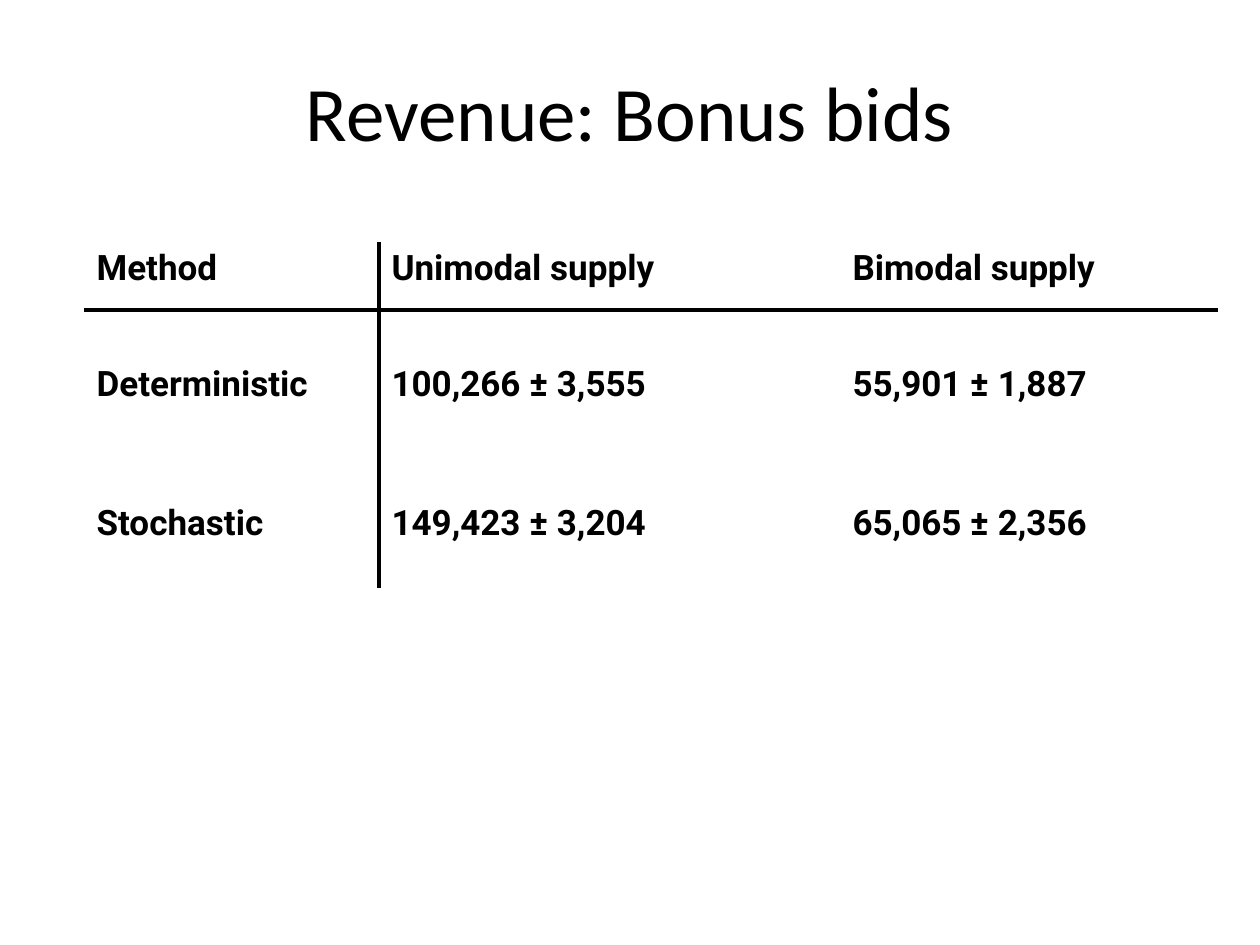
import pptx
import pptx.dml.color
import pptx.enum.text
import pptx.oxml
import pptx.oxml.ns
import pptx.util

EMU_PER_PX = 914400 / 126
BLACK = pptx.dml.color.RGBColor(0, 0, 0)


def px(length):
    return pptx.util.Emu(round(length * EMU_PER_PX))


def write(frame, text, *, font, size, bold=False, align=pptx.enum.text.PP_ALIGN.LEFT):
    para = frame.paragraphs[0]
    para.alignment = align
    span = para.add_run()
    span.text = text
    span.font.name = font
    span.font.size = pptx.util.Pt(size)
    span.font.bold = bold
    span.font.color.rgb = BLACK


deck = pptx.Presentation()
deck.slide_width, deck.slide_height = px(1260), px(945)
slide = deck.slides.add_slide(deck.slide_layouts[6])

title = slide.shapes.add_textbox(px(0), px(32), px(1260), px(157)).text_frame
title.word_wrap = True
title.vertical_anchor = pptx.enum.text.MSO_ANCHOR.MIDDLE
write(title, "Revenue: Bonus bids", font="Calibri", size=44,
      align=pptx.enum.text.PP_ALIGN.CENTER)

REVENUE = [
    ("Method", "Unimodal supply", "Bimodal supply"),
    ("Deterministic", "100,266 ± 3,555", "55,901 ± 1,887"),
    ("Stochastic", "149,423 ± 3,204", "65,065 ± 2,356"),
]
COLUMN_WIDTHS = (295, 461, 378)
ROW_HEIGHTS = (68, 139, 139)

table = slide.shapes.add_table(
    len(ROW_HEIGHTS), len(COLUMN_WIDTHS), px(84), px(242),
    px(sum(COLUMN_WIDTHS)), px(sum(ROW_HEIGHTS))).table
table.first_row = False
table.horz_banding = False
for column, width in zip(table.columns, COLUMN_WIDTHS):
    column.width = px(width)
for row, height in zip(table.rows, ROW_HEIGHTS):
    row.height = px(height)

for r, texts in enumerate(REVENUE):
    for c, text in enumerate(texts):
        cell = table.cell(r, c)
        cell.margin_top = px(6 if r == 0 else 54)
        write(cell.text_frame, text, font="Roboto", size=20, bold=True)

        # Rules run only below the header row and right of the method column.
        ruled_sides = {"L": c == 1, "R": c == 0, "T": r == 1, "B": r == 0}
        properties = cell._tc.get_or_add_tcPr()
        for side, ruled in ruled_sides.items():
            fill = (f'<a:solidFill><a:srgbClr val="{BLACK}"/></a:solidFill>'
                    if ruled else "<a:noFill/>")
            properties.append(pptx.oxml.parse_xml(
                f'<a:ln{side} {pptx.oxml.ns.nsdecls("a")} w="{pptx.util.Pt(2.25)}">'
                f"{fill}</a:ln{side}>"))
        cell.fill.background()

deck.save("out.pptx")
